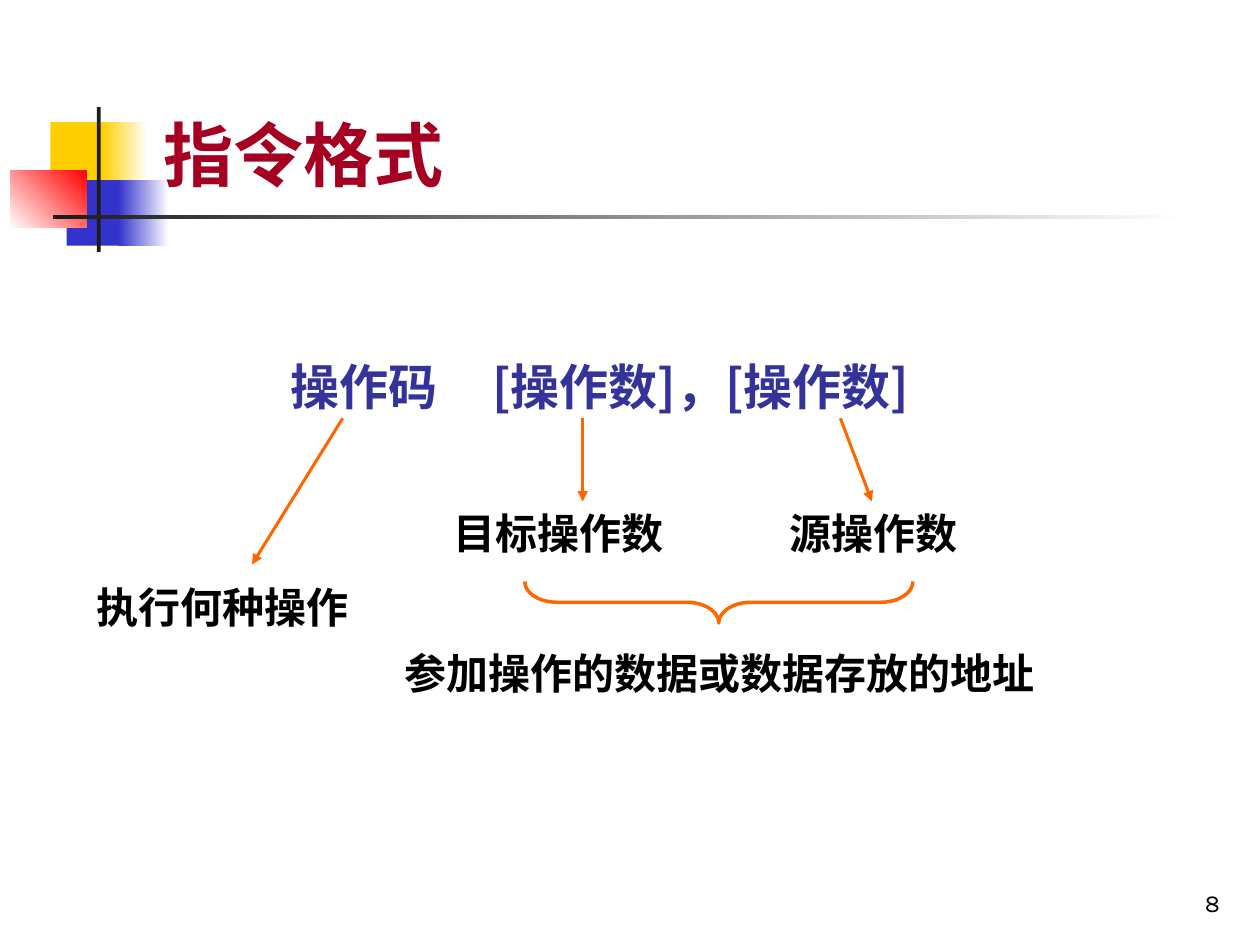
import pptx
import pptx.dml.color
import pptx.enum.dml
import pptx.enum.shapes
import pptx.enum.text
import pptx.oxml.ns
import pptx.util
from lxml import etree

COLUMNS, ROWS = 100, 75
SHAPES = pptx.enum.shapes.MSO_SHAPE
ANCHOR = pptx.enum.text.MSO_ANCHOR
ALIGN = pptx.enum.text.PP_ALIGN
CHINESE_FONT = "Noto Sans CJK SC"

YELLOW, BLUE, RED = "FFCF01", "3333CC", "FF0000"
WHITE, BLACK, CHARCOAL = "FFFFFF", "000000", "1C1C1C"
TITLE_RED, FORMULA_BLUE, ORANGE = "A50021", "333399", "FF6600"


def color(hex_string):
    return pptx.dml.color.RGBColor.from_string(hex_string)


def add_xml(parent, tag, **attributes):
    return etree.SubElement(parent, pptx.oxml.ns.qn(tag), attributes)


def write_text(shape, text, size=24, font=CHINESE_FONT, fill=BLACK, bold=True,
               align=ALIGN.LEFT, anchor=ANCHOR.TOP, line_spacing=None, tab=None):
    """Fill the shape with one paragraph; tab is a tab stop in inches."""
    frame = shape.text_frame
    frame.word_wrap = True
    frame.vertical_anchor = anchor
    paragraph = frame.paragraphs[0]
    paragraph.alignment = align
    if line_spacing:
        paragraph.line_spacing = line_spacing
    if tab:
        tabs = add_xml(paragraph._p.get_or_add_pPr(), "a:tabLst")
        add_xml(tabs, "a:tab", pos=str(pptx.util.Inches(tab)), algn="l")
    run = paragraph.add_run()
    run.text = text
    run.font.size = pptx.util.Pt(size)
    run.font.bold = bold
    run.font.color.rgb = color(fill)
    run.font.name = font
    add_xml(run._r.get_or_add_rPr(), "a:ea", typeface=font)


class SlideBuilder:
    """Places elements on a slide by columns and rows of a fine grid."""

    def __init__(self, presentation):
        self.cell_width = presentation.slide_width / COLUMNS
        self.cell_height = presentation.slide_height / ROWS
        self.slide = presentation.slides.add_slide(presentation.slide_layouts[6])

    def place(self, column, row):
        return round(column * self.cell_width), round(row * self.cell_height)

    def text(self, column, row, columns, rows, text, **text_format):
        shape = self.slide.shapes.add_textbox(
            *self.place(column, row), *self.place(columns, rows))
        write_text(shape, text, **text_format)
        return shape

    def shape(self, kind, column, row, columns, rows):
        shape = self.slide.shapes.add_shape(
            kind, *self.place(column, row), *self.place(columns, rows))
        shape.shadow.inherit = False
        return shape

    def block(self, column, row, columns, rows, start, end=None, angle=0):
        """Draw a borderless rectangle, shaded from start to end if end is given."""
        shape = self.shape(SHAPES.RECTANGLE, column, row, columns, rows)
        shape.line.fill.background()
        if end is None:
            shape.fill.solid()
            shape.fill.fore_color.rgb = color(start)
            return
        shape.fill.gradient()
        shape.fill.gradient_angle = angle
        for stop, shade in zip(shape.fill.gradient_stops, (start, end)):
            stop.color.rgb = color(shade)

    def brace(self, column, row, columns, rows):
        """Draw a brace that points down, inside the given area."""
        left = column + (columns - rows) / 2
        top = row + (rows - columns) / 2
        shape = self.shape(SHAPES.LEFT_BRACE, left, top, rows, columns)
        shape.rotation = 270
        shape.adjustments[0] = 0.77
        shape.adjustments[1] = 0.5
        shape.fill.background()
        shape.line.color.rgb = color(ORANGE)
        shape.line.width = pptx.util.Pt(2)

    def arrow(self, start, end, target=None):
        """Draw an arrow; with a target, it ends at the middle of its top side."""
        connector = self.slide.shapes.add_connector(
            pptx.enum.shapes.MSO_CONNECTOR.STRAIGHT,
            *self.place(*start), *self.place(*end))
        if target is not None:
            connector.end_connect(target, 0)
        connector.line.color.rgb = color(ORANGE)
        connector.line.width = pptx.util.Pt(1.75)
        add_xml(connector.line._get_or_add_ln(), "a:tailEnd", type="triangle")
        add_xml(connector._element.spPr, "a:effectLst")


def add_decoration(builder):
    builder.block(4, 9.7, 4.8, 5.2, YELLOW)
    builder.block(8.1, 9.7, 3.6, 5.2, YELLOW, WHITE)
    builder.block(5.3, 14.3, 4.6, 5.2, BLUE)
    builder.block(9.4, 14.3, 4, 5.2, BLUE, WHITE)
    builder.block(0.8, 13.5, 6.1, 4.6, WHITE, RED, angle=45)
    builder.block(7.7, 8.5, 0.3, 11.5, CHARCOAL)
    builder.block(4.2, 17.1, 90, 0.3, CHARCOAL, WHITE)


def add_instruction_format(builder):
    builder.text(22.1, 26.9, 61.7, 10.8, "操作码\t[操作数]，[操作数]", size=28,
                 fill=FORMULA_BLUE, line_spacing=1.2, tab=1.6)
    builder.text(6.7, 45.7, 27.5, 5, "执行何种操作")
    destination = builder.text(35, 39.8, 22.5, 5, "目标操作数")
    builder.text(61.7, 39.8, 22.5, 5, "源操作数")
    builder.text(31.1, 50.9, 52.8, 5, "参加操作的数据或数据存放的地址")

    arrow_row = 33.2
    builder.arrow((27.2, arrow_row), (20, 44.8))
    builder.arrow((46.25, arrow_row), (46.25, 39.8), target=destination)
    builder.arrow((66.7, arrow_row), (69.2, 39.8))
    builder.brace(41.65, 46.15, 30.8, 3.3)


def main():
    presentation = pptx.Presentation()
    presentation.slide_width = pptx.util.Inches(10)
    presentation.slide_height = pptx.util.Inches(7.5)
    builder = SlideBuilder(presentation)
    add_decoration(builder)
    builder.text(12, 0, 85.2, 16, "指令格式", size=40, fill=TITLE_RED,
                 anchor=ANCHOR.BOTTOM)
    add_instruction_format(builder)
    builder.text(77, 68.3, 20.8, 5, "8", size=14, font="Karla", bold=False,
                 align=ALIGN.RIGHT, anchor=ANCHOR.BOTTOM)
    presentation.save("out.pptx")


if __name__ == "__main__":
    main()
